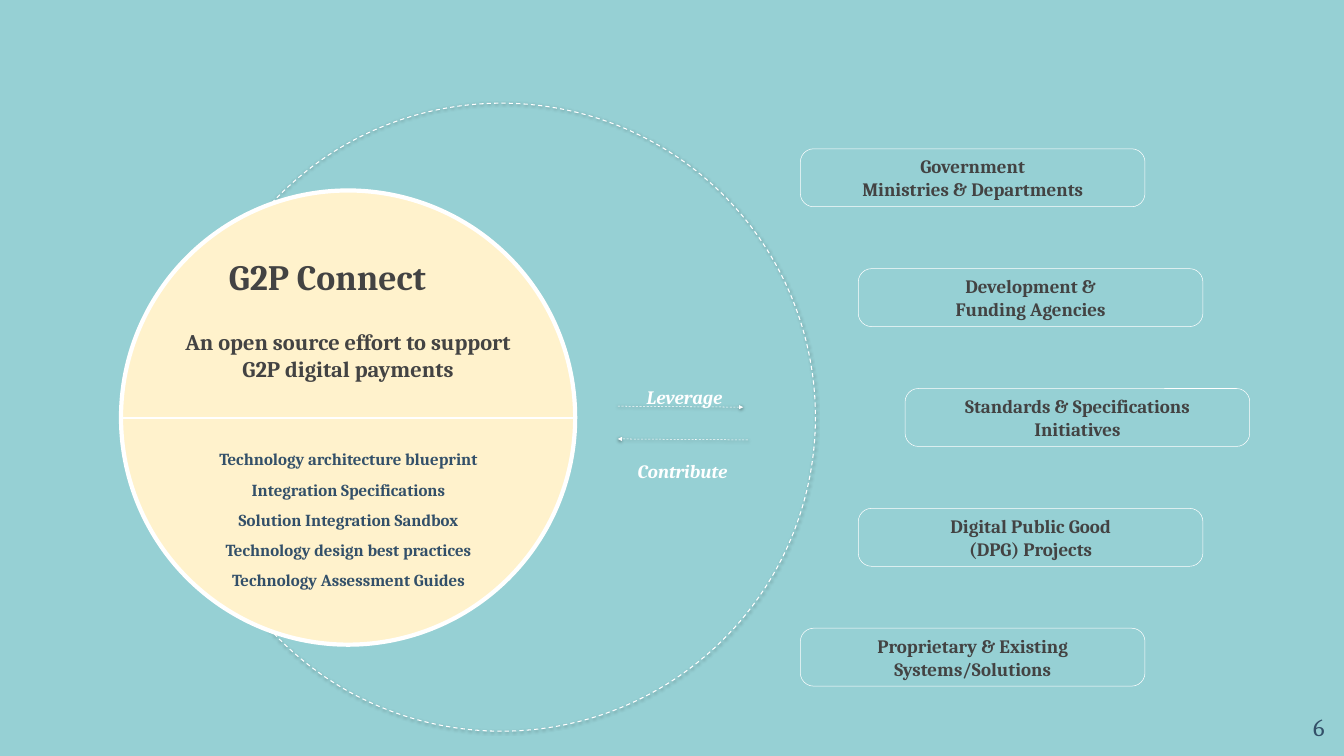
from lxml import etree
from pptx import Presentation
from pptx.dml.color import RGBColor
from pptx.enum import dml, shapes, text
from pptx.oxml import ns
from pptx.util import Cm, Pt

COLORS = {
    "background": "96D0D4",
    "disc": "FFF2CC",
    "line": "FFFFFF",
    "dark": "434343",
    "navy": "335069",
    "shadow": "000000",
}
FONT = "Cambria"
INSET = 0.69
PARTNERS = [
    ("Government\vMinistries & Departments", 0),
    ("Development &\vFunding Agencies", 2.92),
    ("Standards & Specifications Initiatives", 5.28),
    ("Digital Public Good\v(DPG) Projects", 2.92),
    ("Proprietary & Existing Systems/Solutions", 0),
]
OFFERINGS = [
    "Technology architecture blueprint",
    "Integration Specifications",
    "Solution Integration Sandbox",
    "Technology design best practices",
    "Technology Assessment Guides",
]


def color(name):
    return RGBColor.from_string(COLORS[name])


def write(shape, lines, size, tint, bold=True, italic=False, spacing=None,
          align=text.PP_ALIGN.CENTER, anchor=text.MSO_ANCHOR.TOP, side=INSET):
    frame = shape.text_frame
    frame.word_wrap = True
    frame.vertical_anchor = anchor
    frame.margin_left = frame.margin_right = Cm(side)
    frame.margin_top = frame.margin_bottom = Cm(INSET)
    frame.text = "\n".join(lines)
    for para in frame.paragraphs:
        para.alignment = align
        if spacing:
            para.line_spacing = spacing
        for span in para.runs:
            font = span.font
            font.name, font.size = FONT, Pt(size)
            font.bold, font.italic = bold, italic
            font.color.rgb = color(tint)


def add_text(page, left, top, width, height, lines, size, tint, **style):
    box = page.shapes.add_textbox(Cm(left), Cm(top), Cm(width), Cm(height))
    write(box, lines, size, tint, **style)


def add_outline(page, kind, left, top, width, height, weight, fill=None):
    shape = page.shapes.add_shape(kind, Cm(left), Cm(top), Cm(width), Cm(height))
    shape.shadow.inherit = False
    if fill:
        shape.fill.solid()
        shape.fill.fore_color.rgb = color(fill)
    else:
        shape.fill.background()
    shape.line.color.rgb = color("line")
    shape.line.width = Pt(weight)
    return shape


def add_line(page, left, top, right, bottom, weight):
    line = page.shapes.add_connector(
        shapes.MSO_CONNECTOR.STRAIGHT, Cm(left), Cm(top), Cm(right), Cm(bottom))
    line.line.color.rgb = color("line")
    line.line.width = Pt(weight)
    etree.SubElement(line._element.spPr, ns.qn("a:effectLst"))
    return line


def add_shadow(shape):
    effects = shape._element.spPr.find(ns.qn("a:effectLst"))
    shadow = etree.SubElement(
        effects, ns.qn("a:outerShdw"), blurRad=str(Pt(4.5)), dist=str(Pt(1.5)),
        dir="5400000", algn="bl", rotWithShape="0")
    tint = etree.SubElement(shadow, ns.qn("a:srgbClr"), val=COLORS["shadow"])
    etree.SubElement(tint, ns.qn("a:alpha"), val="50000")


def add_ring(page, left, top, size):
    ring = add_outline(page, shapes.MSO_SHAPE.OVAL, left, top, size, size, 1.5)
    ring.line.dash_style = dml.MSO_LINE.DASH
    add_shadow(ring)


def add_disc(page, left, top, size):
    add_outline(page, shapes.MSO_SHAPE.OVAL, left, top, size, size, 6, "disc")
    middle = top + size / 2
    add_line(page, left, middle, left + size, middle, 3)
    add_text(page, left + 3.35, top + 2.54, 14.1, 3.56, ["G2P Connect"], 51, "dark")
    add_text(page, left + 0.51, top + 6.65, 21.87, 3.33,
             ["An open source effort to support\vG2P digital payments"], 32, "dark",
             anchor=text.MSO_ANCHOR.MIDDLE)
    add_text(page, left + 2.62, top + 11.84, 17.68, 8.56, OFFERINGS, 24, "navy",
             spacing=1.5)


def add_arrow(page, start, end):
    arrow = add_line(page, *start, *end, 0.75)
    arrow.line.dash_style = dml.MSO_LINE.DASH
    etree.SubElement(arrow.line._get_or_add_ln(), ns.qn("a:tailEnd"), type="triangle")
    add_shadow(arrow)


def add_exchange(page, left, top):
    add_arrow(page, (left + 0.18, top + 2.28), (left + 6.5, top + 2.33))
    add_arrow(page, (left + 6.73, top + 3.98), (left + 0.18, top + 3.93))
    for label, dx, dy in (("Leverage", 0.1, 0), ("Contribute", 0, 3.7)):
        add_text(page, left + dx, top + dy, 6.88, 2.51, [label], 27, "line",
                 italic=True, spacing=1.5)


def add_partners(page, left, top, width, height, pitch):
    for row, (label, shift) in enumerate(PARTNERS):
        partner = add_outline(page, shapes.MSO_SHAPE.ROUNDED_RECTANGLE,
                              left + shift, top + row * pitch, width, height, 0.75)
        partner.adjustments[0] = 0.23
        write(partner, [label], 27, "dark", anchor=text.MSO_ANCHOR.MIDDLE, side=1.73)


def main():
    deck = Presentation()
    deck.slide_width, deck.slide_height = Cm(67.74), Cm(38.1)
    page = deck.slides.add_slide(deck.slide_layouts[6])
    page.background.fill.solid()
    page.background.fill.fore_color.rgb = color("background")
    add_ring(page, 9.45, 5.2, 31.65)
    add_disc(page, 6.1, 9.6, 22.89)
    add_partners(page, 40.34, 7.5, 17.37, 2.92, 6.04)
    add_exchange(page, 30.96, 18.19)
    add_text(page, 63.4, 35.18, 4.06, 2.92, ["6"], 35, "navy", bold=False,
             align=text.PP_ALIGN.RIGHT)
    deck.save("out.pptx")


if __name__ == "__main__":
    main()
